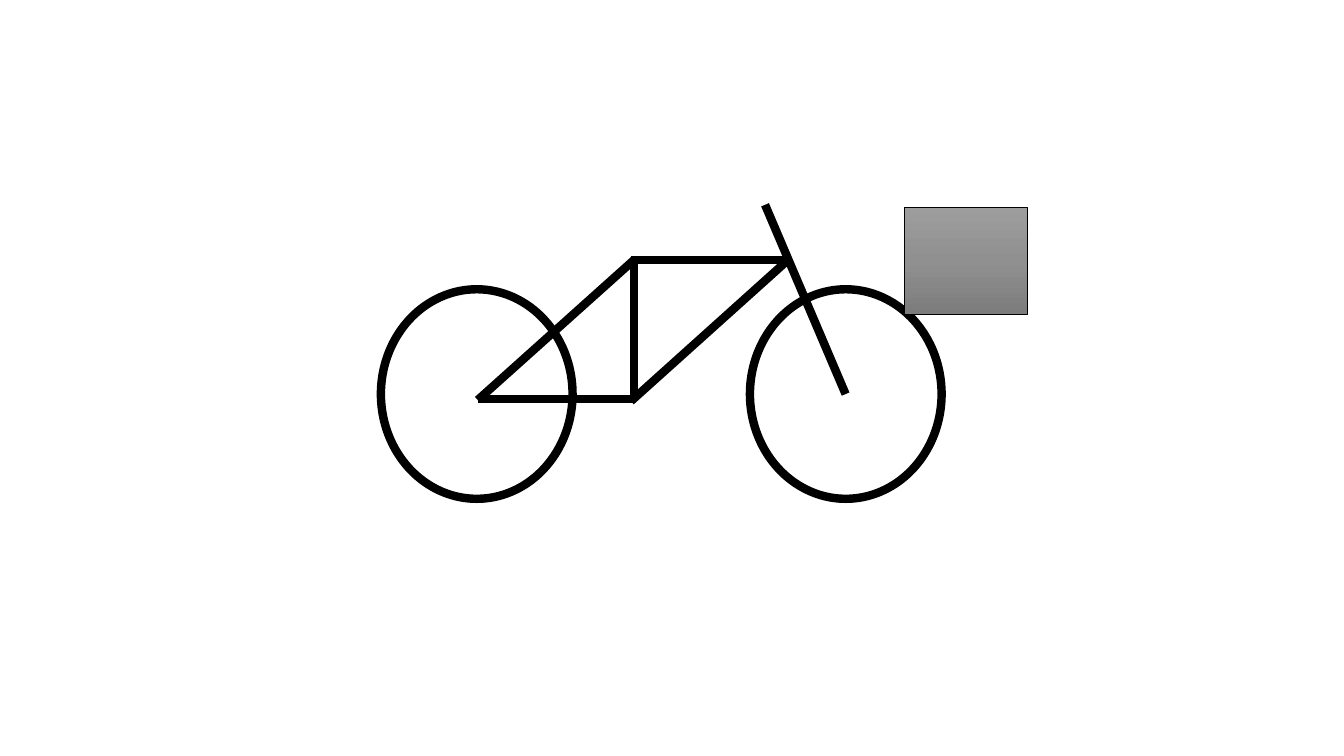
"""Build a slide with a line-drawn bicycle and a shaded box in front of it."""
from copy import deepcopy

from pptx import Presentation
from pptx.dml.color import RGBColor
from pptx.enum.shapes import MSO_CONNECTOR, MSO_SHAPE
from pptx.oxml.ns import qn
from pptx.oxml.xmlchemy import OxmlElement
from pptx.util import Cm, Pt

OVAL = MSO_SHAPE.OVAL
RECTANGLE = MSO_SHAPE.RECTANGLE
STRAIGHT = MSO_CONNECTOR.STRAIGHT

COLORS = {
    "line": "000000",
    "box_top": "9D9D9D",
    "box_middle": "909090",
    "box_bottom": "7C7C7C",
}
TUBE_WIDTH = 6


def set_line(item, width):
    item.line.color.rgb = RGBColor.from_string(COLORS["line"])
    item.line.width = Pt(width)


presentation = Presentation()
presentation.slide_width = Cm(33.87)
presentation.slide_height = Cm(19.05)
slide = presentation.slides.add_slide(presentation.slide_layouts[6])

bicycle = slide.shapes.add_group_shape()

for wheel_left in (9.6, 18.9):
    wheel = bicycle.shapes.add_shape(OVAL, Cm(wheel_left), Cm(7.29), Cm(4.83), Cm(5.28))
    wheel.shadow.inherit = False
    wheel.fill.background()
    set_line(wheel, TUBE_WIDTH)

tubes = {
    "fork": (21.31, 9.93, 19.28, 5.16),
    "down tube": (19.86, 6.55, 15.9, 10.11),
    "top tube": (19.81, 6.55, 15.9, 6.55),
    "seat tube": (15.98, 10.11, 15.98, 6.55),
    "seat stay": (16, 6.53, 12.04, 10.08),
    "chain stay": (15.95, 10.06, 12.04, 10.06),
}
for ends in tubes.values():
    tube = bicycle.shapes.add_connector(STRAIGHT, *(Cm(value) for value in ends))
    set_line(tube, TUBE_WIDTH)
    tube._element.spPr.append(OxmlElement("a:effectLst"))

box = slide.shapes.add_shape(RECTANGLE, Cm(22.78), Cm(5.23), Cm(3.1), Cm(2.69))
box.shadow.inherit = False
set_line(box, 0.5)
box.fill.gradient()
box.fill.gradient_angle = 270
stop_list = box._element.spPr.find(qn("a:gradFill")).find(qn("a:gsLst"))
stop_list.insert(1, deepcopy(stop_list[0]))
shades = (("box_top", 0), ("box_middle", 0.5), ("box_bottom", 1))
for stop, (shade, position) in zip(box.fill.gradient_stops, shades):
    stop.color.rgb = RGBColor.from_string(COLORS[shade])
    stop.position = position

presentation.save("out.pptx")
